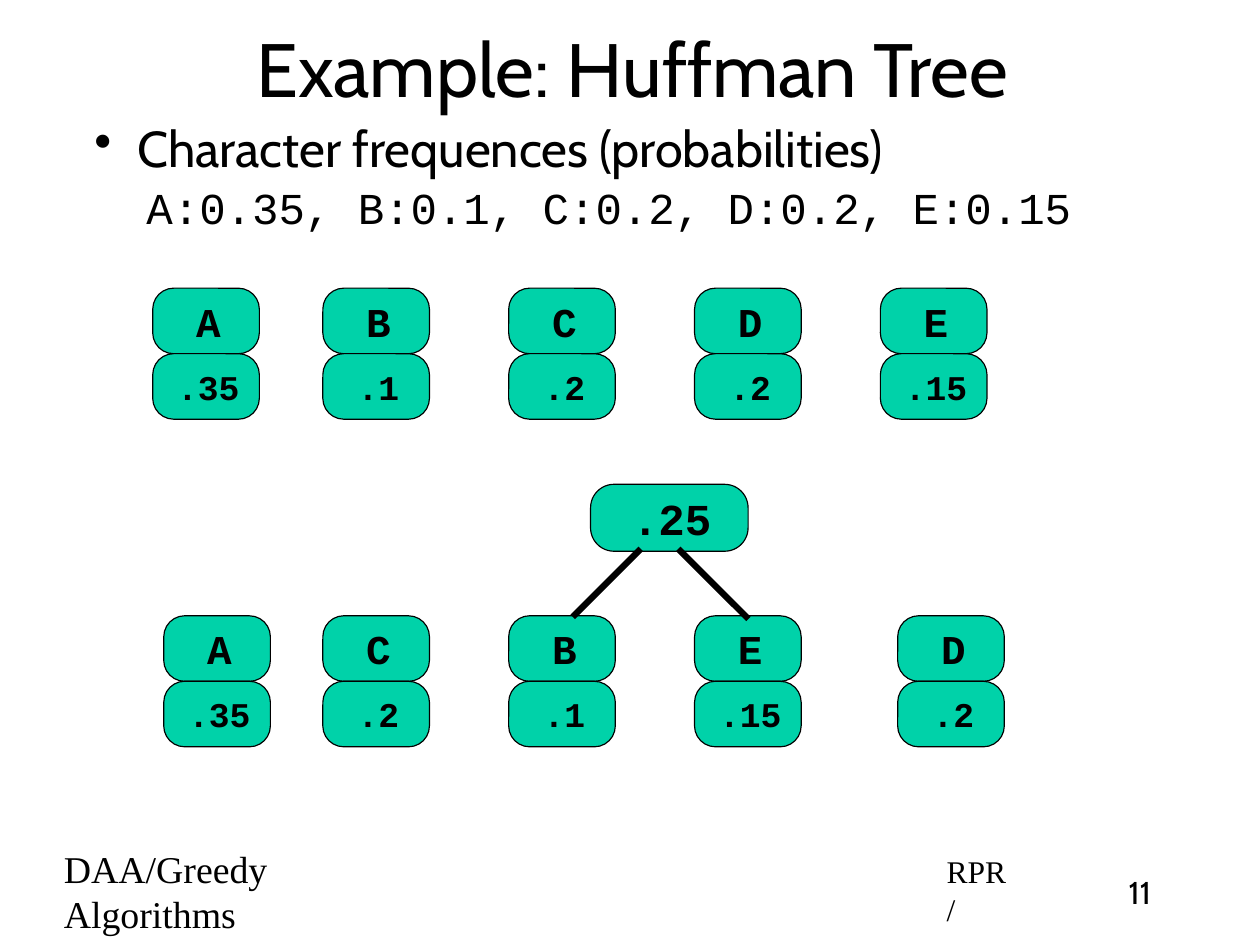
"""Build a slide showing the first merge of a Huffman tree."""
from dataclasses import dataclass
from typing import Any, NamedTuple

from lxml.etree import SubElement
from pptx import Presentation
from pptx.dml.color import RGBColor
from pptx.enum.shapes import MSO_CONNECTOR as Link, MSO_SHAPE as Preset
from pptx.enum.text import MSO_ANCHOR as Anchor, MSO_AUTO_SIZE as Fit, PP_ALIGN as Align
from pptx.oxml.ns import qn
from pptx.util import Pt


@dataclass(frozen=True)
class Theme:
    ink: RGBColor = RGBColor(0, 0, 0)
    node: RGBColor = RGBColor(0x00, 0xD2, 0xA9)
    sans: str = "Cabin"
    mono: str = "Courier New"
    serif: str = "Times New Roman"
    title: int = 48
    heading: int = 32
    detail: int = 28
    course: int = 24
    small: int = 20
    letter: int = 26
    weight: int = 22
    outline: float = 0.75
    edge: float = 4


class Box(NamedTuple):
    left: float
    top: float
    width: float
    height: float


class Style(NamedTuple):
    font: str
    size: int
    bold: bool = False
    align: Align = Align.LEFT
    margin: float = 3
    indent: float = 0


class Leaf(NamedTuple):
    letter: str
    weight: str
    left: float


class Edge(NamedTuple):
    start: tuple[float, float]
    end: tuple[float, float]


class Footer(NamedTuple):
    text: str
    box: Box
    style: Style
    anchor: Anchor
    right_inset: float


THEME = Theme()
INSET = 4.5
LEAF_WIDTH, LEAF_HEIGHT = 67.7, 41.6
COLUMNS = [205 + 118 * column for column in range(4)]
TITLE_STYLE = Style(THEME.sans, THEME.title, align=Align.CENTER)
LETTER_STYLE = Style(THEME.mono, THEME.letter, True, Align.CENTER)
WEIGHT_STYLE = LETTER_STYLE._replace(size=THEME.weight)
PARENT_STYLE = LETTER_STYLE._replace(size=THEME.detail)

INITIAL_LEAVES = [Leaf(*entry) for entry in zip("ABCDE", (".35", ".1", ".2", ".2", ".15"), [97, *COLUMNS])]
MERGED_LEAVES = [Leaf(*entry) for entry in
                 zip("ACBED", (".35", ".2", ".1", ".15", ".2"), [104, *COLUMNS[:3], 570])]
LEAF_ROWS = [(183, INITIAL_LEAVES), (391, MERGED_LEAVES)]
EDGES = [Edge((363.6, 391.7), (406.8, 348.5)), Edge((475.2, 393), (430.6, 348.5))]
FOOTERS = [
    Footer("DAA/Greedy Algorithms", Box(33, 548.5, 255.5, 34), Style(THEME.serif, THEME.course), Anchor.MIDDLE, 90),
    Footer("RPR/", Box(593.5, 550, 55.5, 30), Style(THEME.serif, THEME.small), Anchor.MIDDLE, 8),
    Footer("11", Box(700, 550, 47.5, 30), Style(THEME.sans, THEME.small, align=Align.CENTER, margin=0),
           Anchor.TOP, INSET),
]


def apply(target: Any, values: dict[str, Any]) -> None:
    """Set every named attribute on the target."""
    for name, value in values.items():
        setattr(target, name, value)


def points(box: tuple[float, ...]) -> list[Pt]:
    """Convert a tuple of lengths to points."""
    return [Pt(length) for length in box]


def format_frame(frame: Any, anchor: Anchor, right_inset: float = INSET) -> None:
    """Give a text frame its insets, wrapping and anchor."""
    apply(frame, {"margin_left": Pt(INSET), "margin_top": Pt(INSET), "margin_bottom": Pt(INSET),
                  "margin_right": Pt(right_inset), "word_wrap": True,
                  "auto_size": Fit.NONE, "vertical_anchor": anchor})


def write(paragraph: Any, text: str, style: Style) -> None:
    """Write one styled line into a paragraph."""
    run = paragraph.add_run()
    run.text = text
    apply(run.font, {"name": style.font, "size": Pt(style.size), "bold": style.bold})
    run.font.color.rgb = THEME.ink
    paragraph.alignment = style.align
    properties = paragraph._p.get_or_add_pPr()
    properties.set("marL", str(Pt(style.margin)))
    properties.set("indent", str(Pt(style.indent)))


def draw_node(shapes: Any, box: Box, text: str, style: Style, rounding: float) -> None:
    """Draw a rounded tree node with its label."""
    node = shapes.add_shape(Preset.ROUNDED_RECTANGLE, *points(box))
    node.adjustments[0] = rounding
    node.shadow.inherit = False
    node.fill.solid()
    node.fill.fore_color.rgb = THEME.node
    node.line.color.rgb = THEME.ink
    node.line.width = Pt(THEME.outline)
    format_frame(node.text_frame, Anchor.MIDDLE)
    write(node.text_frame.paragraphs[0], text, style)


def draw_leaf(shapes: Any, leaf: Leaf, top: float) -> None:
    """Draw a letter above its weight as one group."""
    pair = shapes.add_group_shape().shapes
    labels = [(leaf.letter, LETTER_STYLE), (leaf.weight, WEIGHT_STYLE)]
    for row, (text, style) in enumerate(labels):
        box = Box(leaf.left, top + row * LEAF_HEIGHT, LEAF_WIDTH, LEAF_HEIGHT)
        draw_node(pair, box, text, style, 0.32)


def draw_edge(shapes: Any, edge: Edge) -> None:
    """Draw a tree edge from a leaf to its parent."""
    branch = shapes.add_connector(Link.STRAIGHT, *points(edge.start + edge.end))
    branch.line.color.rgb = THEME.ink
    branch.line.width = Pt(THEME.edge)
    SubElement(branch._element.spPr, qn("a:effectLst"))


def draw_title(title: Any) -> None:
    """Place and fill the title placeholder."""
    apply(title, dict(zip(Box._fields, points(Box(60, 5, 680, 75)))))
    format_frame(title.text_frame, Anchor.MIDDLE)
    write(title.text_frame.paragraphs[0], "Example: Huffman Tree", TITLE_STYLE)


def draw_frequencies(shapes: Any) -> None:
    """Write the bulleted heading and the frequency list."""
    frame = shapes.add_textbox(*points(Box(52.5, 74, 713, 75))).text_frame
    format_frame(frame, Anchor.TOP)
    heading, detail = frame.paragraphs[0], frame.add_paragraph()
    write(heading, "Character frequences (probabilities)",
          Style(THEME.sans, THEME.heading, margin=30, indent=-27))
    write(detail, "A:0.35, B:0.1, C:0.2, D:0.2, E:0.15",
          Style(THEME.mono, THEME.detail, margin=0, indent=36))
    for paragraph, space in ((heading, 7), (detail, 5)):
        apply(paragraph, {"line_spacing": 0.9, "space_before": Pt(space)})
    SubElement(heading._p.get_or_add_pPr(), qn("a:buChar")).set("char", "•")


def draw_footer(shapes: Any, footer: Footer) -> None:
    """Write one entry of the footer line."""
    frame = shapes.add_textbox(*points(footer.box)).text_frame
    format_frame(frame, footer.anchor, footer.right_inset)
    write(frame.paragraphs[0], footer.text, footer.style)


def main() -> None:
    """Assemble and save the slide."""
    deck = Presentation()
    apply(deck, {"slide_width": Pt(800), "slide_height": Pt(600)})
    shapes = deck.slides.add_slide(deck.slide_layouts.get_by_name("Title Only")).shapes
    draw_title(shapes.title)
    draw_frequencies(shapes)
    for footer in FOOTERS:
        draw_footer(shapes, footer)
    for top, leaves in LEAF_ROWS:
        for leaf in leaves:
            draw_leaf(shapes, leaf, top)
    draw_node(shapes, Box(375, 307.5, 100, 42.5), ".25", PARENT_STYLE, 0.35)
    for edge in EDGES:
        draw_edge(shapes, edge)
    deck.save("out.pptx")


main()
